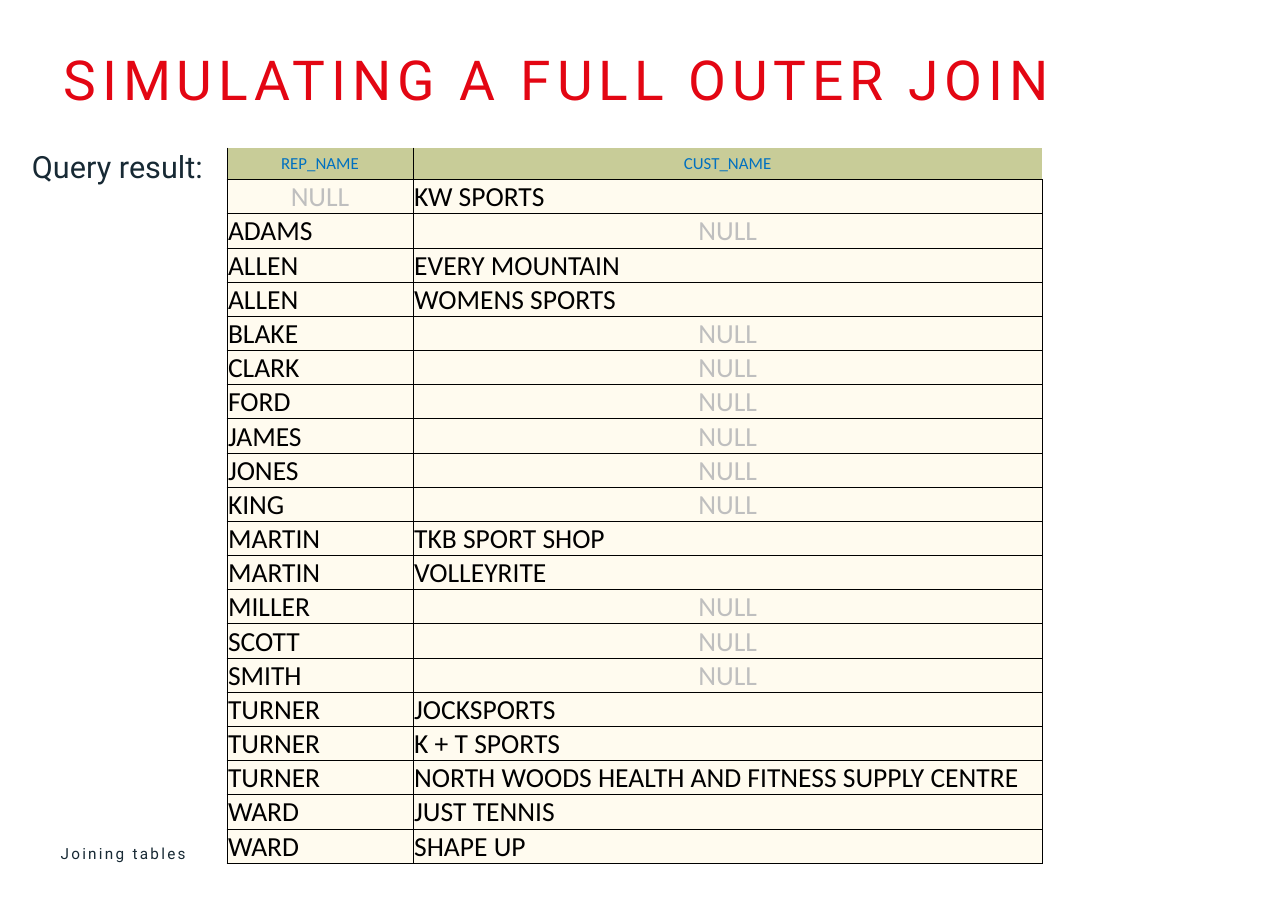
from pptx import Presentation, util as u
from pptx.dml.color import RGBColor
from pptx.enum import text
from pptx.oxml import parse_xml
from pptx.oxml.ns import nsdecls

RED, NAVY, BLUE, GREY, BLACK = "E30613", "172934", "0070C0", "BFBFBF", "000000"
OLIVE, CREAM = "C8CC98", "FFFBEF"
NULL = "NULL"
HEADER = ("REP_NAME", "CUST_NAME")
RESULT = [
    (NULL, "KW SPORTS"),
    ("ADAMS", NULL),
    ("ALLEN", "EVERY MOUNTAIN"),
    ("ALLEN", "WOMENS SPORTS"),
    ("BLAKE", NULL),
    ("CLARK", NULL),
    ("FORD", NULL),
    ("JAMES", NULL),
    ("JONES", NULL),
    ("KING", NULL),
    ("MARTIN", "TKB SPORT SHOP"),
    ("MARTIN", "VOLLEYRITE"),
    ("MILLER", NULL),
    ("SCOTT", NULL),
    ("SMITH", NULL),
    ("TURNER", "JOCKSPORTS"),
    ("TURNER", "K + T SPORTS"),
    ("TURNER", "NORTH WOODS HEALTH AND FITNESS SUPPLY CENTRE"),
    ("WARD", "JUST TENNIS"),
    ("WARD", "SHAPE UP"),
]


def rgb(color):
    return RGBColor.from_string(color)


class SlideBuilder:
    heading_font, table_font = "Roboto", "Calibri"

    def __init__(self, slide):
        self.s = slide

    def style(self, p, font, size, color):
        r = p.runs[0]
        r.font.name, r.font.size = font, u.Pt(size)
        r.font.color.rgb = rgb(color)
        return r

    def label(self, content, box, size, color, spacing=0, anchor=text.MSO_ANCHOR.TOP):
        """Add a text box without insets; spacing is letter spacing in points."""
        tf = self.s.shapes.add_textbox(*map(u.Inches, box)).text_frame
        tf.margin_left = tf.margin_right = tf.margin_top = tf.margin_bottom = 0
        tf.word_wrap, tf.vertical_anchor = True, anchor
        tf.text = content
        r = self.style(tf.paragraphs[0], self.heading_font, size, color)
        if spacing:
            r.font._element.set("spc", str(round(spacing * 100)))

    def borders(self, cell, sides):
        """Draw thin lines on the given sides (of L, R, T, B) and none elsewhere."""
        tcPr = cell._tc.get_or_add_tcPr()
        for i, side in enumerate("LRTB"):
            paint = (f'<a:solidFill><a:srgbClr val="{BLACK}"/></a:solidFill>'
                     if side in sides else "<a:noFill/>")
            tcPr.insert(i, parse_xml(
                f'<a:ln{side} {nsdecls("a")} w="{u.Pt(0.5)}">{paint}</a:ln{side}>'))

    def cell(self, cell, content, size, color, fill, centered, anchor, sides):
        cell.margin_left = cell.margin_right = cell.margin_top = u.Inches(0.01)
        cell.margin_bottom = 0
        cell.vertical_anchor = anchor
        cell.fill.solid()
        cell.fill.fore_color.rgb = rgb(fill)
        self.borders(cell, sides)
        cell.text = content
        p = cell.text_frame.paragraphs[0]
        p.alignment = text.PP_ALIGN.CENTER if centered else text.PP_ALIGN.LEFT
        self.style(p, self.table_font, size, color)

    def table(self, left, top, widths, row_height, header, rows):
        table = self.s.shapes.add_table(
            len(rows) + 1, len(widths), u.Inches(left), u.Inches(top),
            u.Inches(sum(widths)), u.Inches(row_height * (len(rows) + 1))).table
        table.first_row = table.horz_banding = False
        for column, width in zip(table.columns, widths):
            column.width = u.Inches(width)
        for row in table.rows:
            row.height = u.Inches(row_height)
        for j, (name, sides) in enumerate(zip(header, ("LRB", "LB"))):
            self.cell(table.cell(0, j), name, 11, BLUE, OLIVE, True,
                      text.MSO_ANCHOR.MIDDLE, sides)
        for i, values in enumerate(rows, 1):
            for j, value in enumerate(values):
                is_null = value == NULL
                self.cell(table.cell(i, j), value, 18, GREY if is_null else BLACK,
                          CREAM, is_null, text.MSO_ANCHOR.BOTTOM, "LRTB")


def main():
    prs = Presentation()
    prs.slide_width, prs.slide_height = u.Inches(11.69), u.Inches(8.27)
    b = SlideBuilder(prs.slides.add_slide(prs.slide_layouts[6]))
    b.label("Joining tables", (0.55, 7.64, 7.29, 0.22), 10, NAVY, 1.5,
            text.MSO_ANCHOR.MIDDLE)
    b.label("SIMULATING A FULL OUTER JOIN", (0.58, 0.41, 10.71, 0.72), 36, RED, 3.8)
    b.table(2.06, 1.34, (1.69, 5.71), 0.29, HEADER, RESULT)
    b.label("Query result:", (0.29, 1.34, 3.87, 0.34), 20, NAVY)
    prs.save("out.pptx")


if __name__ == "__main__":
    main()
